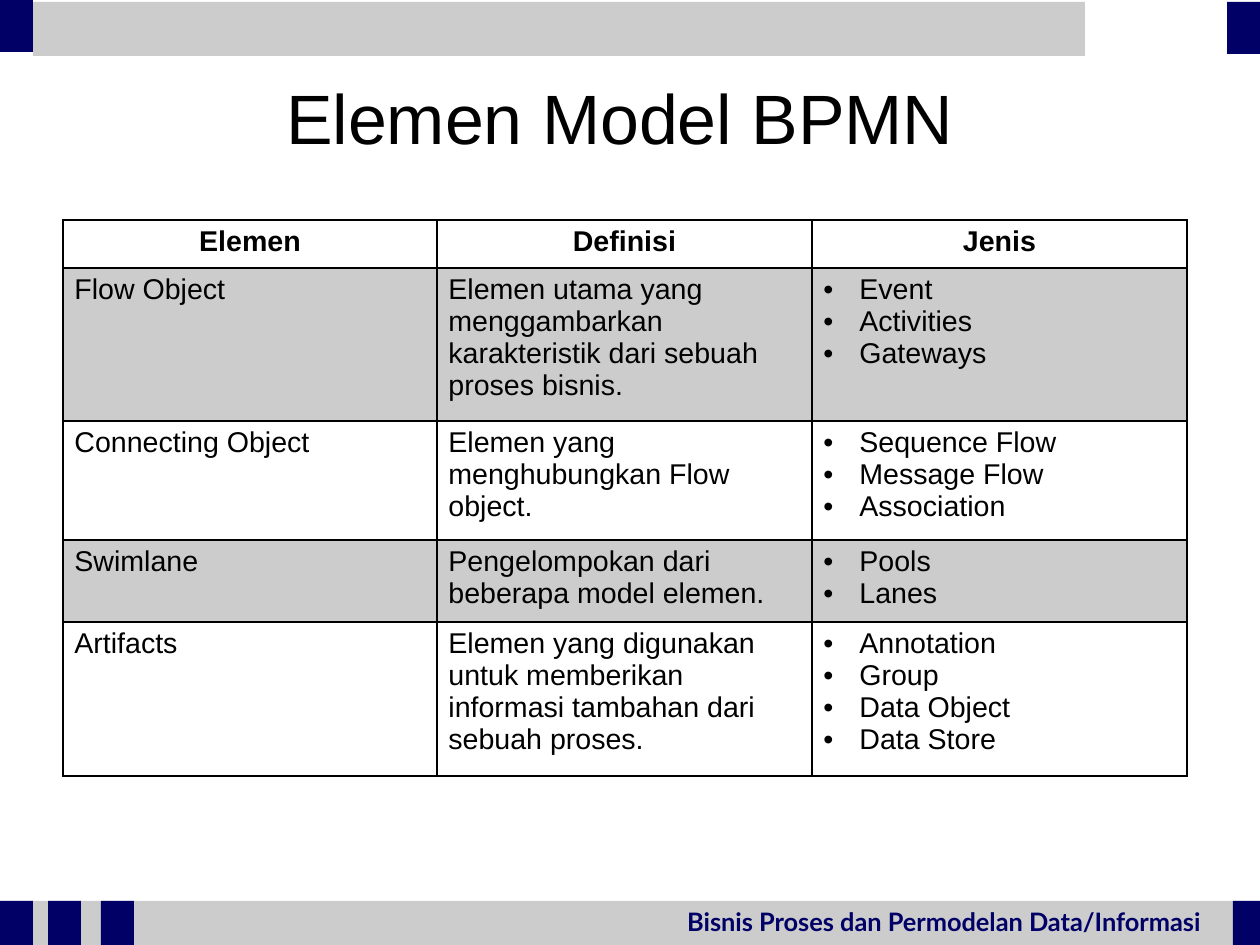
from pptx import Presentation
from pptx.dml.color import RGBColor
from pptx.enum.shapes import MSO_SHAPE as Shape
from pptx.enum.text import MSO_ANCHOR as Anchor, PP_ALIGN as Align
from pptx.oxml import parse_xml
from pptx.oxml.ns import nsdecls
from pptx.util import Emu, Pt

EMU_PER_PX = 8000
NAVY, GREY, BLACK = "000066", "CCCCCC", "000000"
BORDER_PT = 0.96
BULLET_INDENT = 36
BAND_OPACITY = 20

TITLE = {"name": "Arial", "size": Pt(44), "bold": False}
FOOTER = {"name": "Lato", "size": Pt(16), "bold": True}
HEADING = {"name": "Arial", "size": Pt(18), "bold": True}
BODY = {"name": "Arial", "size": Pt(18), "bold": False}

HEADINGS = ["Elemen", "Definisi", "Jenis"]
ELEMENTS = [
    ("Flow Object",
     "Elemen utama yang menggambarkan karakteristik dari sebuah proses bisnis.",
     ["Event", "Activities", "Gateways"]),
    ("Connecting Object",
     "Elemen yang menghubungkan Flow object.",
     ["Sequence Flow", "Message Flow", "Association"]),
    ("Swimlane",
     "Pengelompokan dari beberapa model elemen.",
     ["Pools", "Lanes"]),
    ("Artifacts",
     "Elemen yang digunakan untuk memberikan informasi tambahan dari sebuah proses.",
     ["Annotation", "Group", "Data Object", "Data Store"]),
]
COLUMN_WIDTHS = [374, 375, 375]
ROW_HEIGHTS = [48, 153, 119, 82, 154]


def px(length):
    return Emu(length * EMU_PER_PX)


def rgb(hex_color):
    return RGBColor.from_string(hex_color)


def element(tag, attributes="", content=""):
    return parse_xml(f'<a:{tag} {nsdecls("a")} {attributes}>{content}</a:{tag}>')


class SlideBuilder:
    def __init__(self, slide):
        self.shapes = slide.shapes

    def add_words(self, paragraph, words, style, color=BLACK, align=Align.LEFT):
        paragraph.alignment = align
        run = paragraph.add_run()
        run.text = words
        for attribute, value in style.items():
            setattr(run.font, attribute, value)
        run.font.color.rgb = rgb(color)

    def block(self, left, top, width, height, color):
        bar = self.shapes.add_shape(Shape.RECTANGLE, *map(px, (left, top, width, height)))
        bar.shadow.inherit = False
        bar.fill.solid()
        bar.fill.fore_color.rgb = rgb(color)
        bar.line.fill.background()

    def text(self, left, top, width, height, words, style, color=BLACK,
             align=Align.LEFT, anchor=Anchor.TOP):
        frame = self.shapes.add_textbox(*map(px, (left, top, width, height))).text_frame
        frame.word_wrap = True
        frame.vertical_anchor = anchor
        self.add_words(frame.paragraphs[0], words, style, color, align)

    def table(self, left, top, column_widths, row_heights):
        grid = self.shapes.add_table(
            len(row_heights), len(column_widths), px(left), px(top),
            px(sum(column_widths)), px(sum(row_heights))).table
        grid.first_row = grid.horz_banding = False
        for column, width in zip(grid.columns, column_widths):
            column.width = px(width)
        for row, height in zip(grid.rows, row_heights):
            row.height = px(height)
        return grid

    def cell(self, cell, content, style, align=Align.LEFT, shaded=False):
        """Fill a bordered cell; a list becomes bullets, a string plain text."""
        bulleted = isinstance(content, list)
        frame = cell.text_frame
        for index, words in enumerate(content if bulleted else [content]):
            paragraph = frame.add_paragraph() if index else frame.paragraphs[0]
            if bulleted:
                self.bullet(paragraph)
            self.add_words(paragraph, words, style, align=align)
        if shaded:
            cell.fill.solid()
            cell.fill.fore_color.rgb = rgb(BLACK)
            shade = cell._tc.tcPr.find(".//{*}srgbClr")
            shade.append(element("alpha", f'val="{BAND_OPACITY * 1000}"'))
        else:
            cell.fill.background()
        self.borders(cell)

    def bullet(self, paragraph):
        properties = paragraph._p.get_or_add_pPr()
        properties.set("marL", str(px(BULLET_INDENT)))
        properties.set("indent", str(-px(BULLET_INDENT)))
        properties.append(element("buClr", content=f'<a:srgbClr val="{BLACK}"/>'))
        properties.append(element("buFont", 'typeface="Arial"'))
        properties.append(element("buChar", 'char="•"'))

    def borders(self, cell):
        properties = cell._tc.get_or_add_tcPr()
        stroke = f'<a:solidFill><a:srgbClr val="{BLACK}"/></a:solidFill>'
        for index, side in enumerate("LRTB"):
            line = element(f"ln{side}", f'w="{Pt(BORDER_PT)}"', stroke)
            properties.insert(index, line)


def main():
    deck = Presentation()
    deck.slide_width, deck.slide_height = px(1260), px(945)
    builder = SlideBuilder(deck.slides.add_slide(deck.slide_layouts[6]))

    footer_top, footer_height = 901, 44
    builder.block(0, footer_top, 1260, footer_height, GREY)
    builder.text(676, footer_top, 540, 41,
                 "Bisnis Proses dan Permodelan Data/Informasi", FOOTER, NAVY)
    for left, width in [(1233, 27), (0, 33), (48, 33), (101, 33)]:
        builder.block(left, footer_top, width, footer_height, NAVY)

    builder.block(33, 2, 1052, 54, GREY)
    builder.block(1227, 2, 33, 52, NAVY)
    builder.block(0, 0, 33, 52, NAVY)

    builder.text(63, 38, 1134, 158, "Elemen Model BPMN ", TITLE,
                 align=Align.CENTER, anchor=Anchor.MIDDLE)

    grid = builder.table(63, 220, COLUMN_WIDTHS, ROW_HEIGHTS)
    for column, heading in enumerate(HEADINGS):
        builder.cell(grid.cell(0, column), heading, HEADING, Align.CENTER)
    for row, contents in enumerate(ELEMENTS, start=1):
        for column, content in enumerate(contents):
            builder.cell(grid.cell(row, column), content, BODY, shaded=row % 2 == 1)

    deck.save("out.pptx")


if __name__ == "__main__":
    main()
